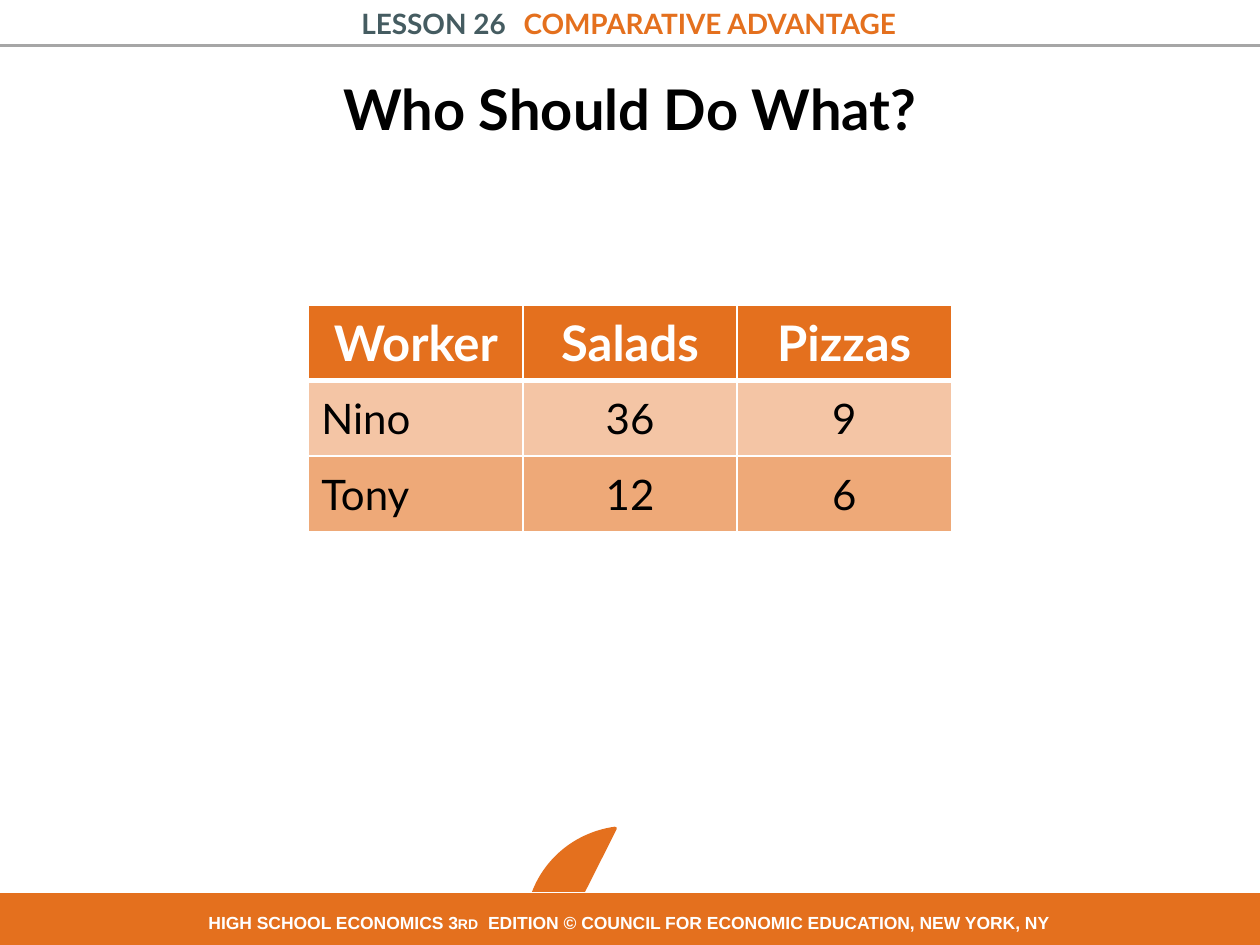
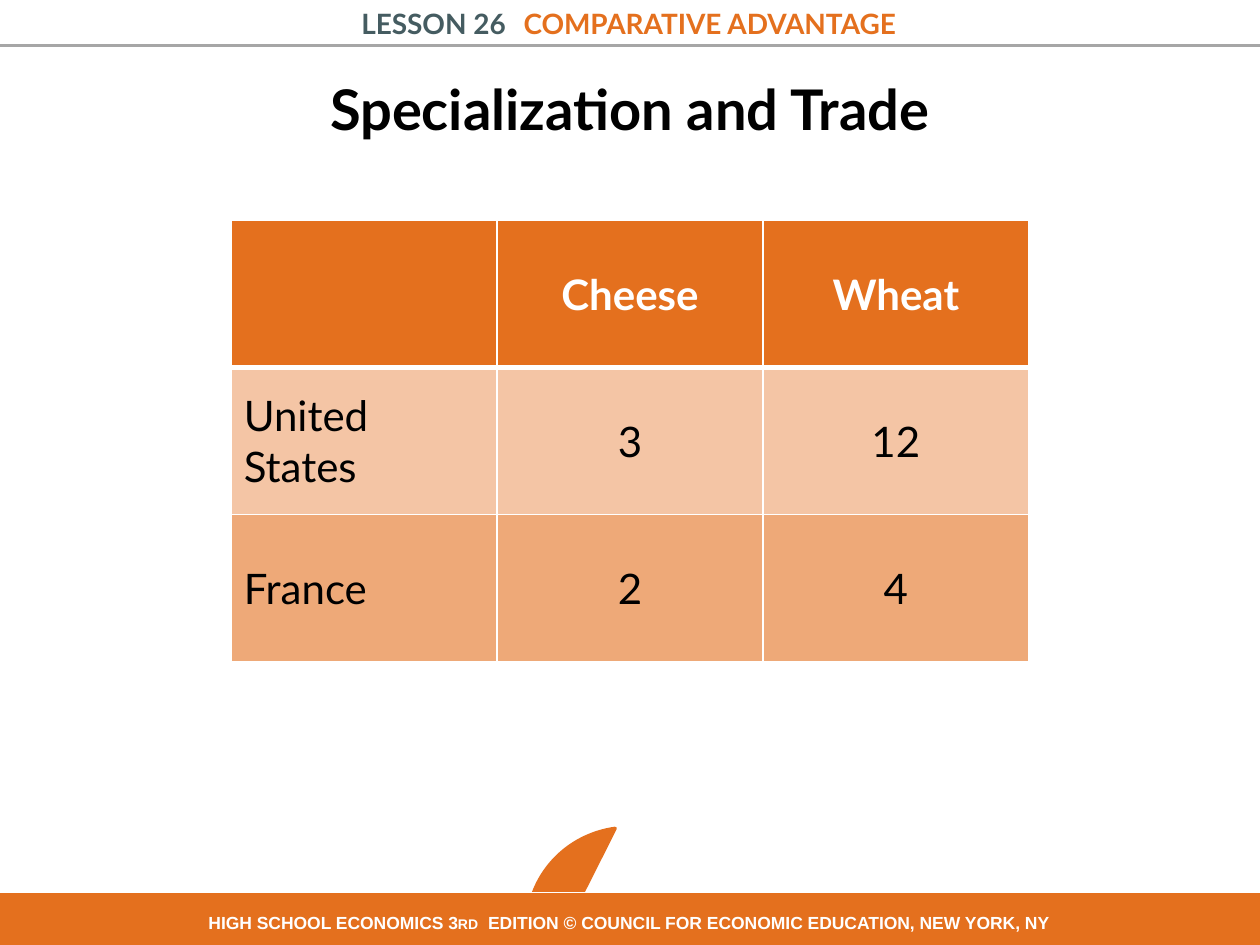
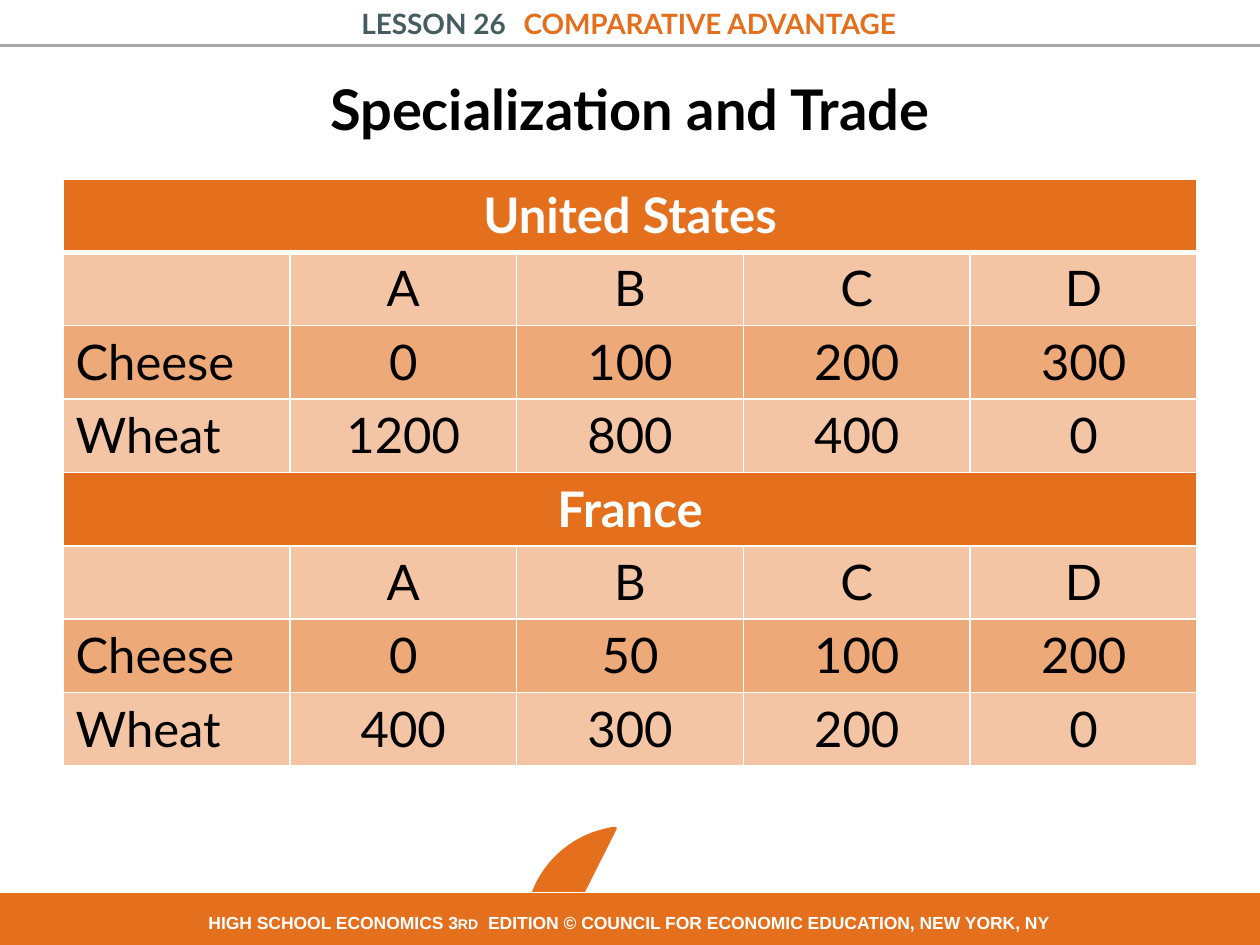
import pptx
import pptx.dml.color
import pptx.enum.shapes
import pptx.enum.text
import pptx.oxml.ns
import pptx.util
from lxml import etree

ORANGE = pptx.dml.color.RGBColor(0xE4, 0x70, 0x1E)
TEAL = pptx.dml.color.RGBColor(0x45, 0x5C, 0x61)
GREY = pptx.dml.color.RGBColor(0xA6, 0xA6, 0xA6)
WHITE = pptx.dml.color.RGBColor(0xFF, 0xFF, 0xFF)
BLACK = pptx.dml.color.RGBColor(0, 0, 0)

COLS, ROWS = 100, 75
CELL = pptx.util.Inches(0.1)
TINTS = (60, 40)
ALIGN = pptx.enum.text.PP_ALIGN
ANCHOR = pptx.enum.text.MSO_ANCHOR
SHAPE = pptx.enum.shapes.MSO_SHAPE
LINE = pptx.enum.shapes.MSO_CONNECTOR
Pt = pptx.util.Pt


def grid(*units):
    return [round(unit * CELL) for unit in units]


def child(parent, tag, **attrs):
    return etree.SubElement(parent, pptx.oxml.ns.qn(tag), attrs)


def say(frame, *parts, font="Lato", size=16, color=BLACK, bold=True, align=ALIGN.CENTER):
    """Write one line; a part is a string or a (string, changes) pair.

    Changes may hold color, caps, or gap (points of extra letter spacing).
    """
    para = frame.paragraphs[0]
    para.alignment = align
    for part in parts:
        text, change = (part, {}) if isinstance(part, str) else part
        run = para.add_run()
        run.text = text
        run.font.name, run.font.size, run.font.bold = font, Pt(size), bold
        run.font.color.rgb = change.get("color", color)
        props = run.font._element
        if "caps" in change:
            props.set("cap", change["caps"])
        if "gap" in change:
            props.set("spc", str(round(change["gap"] * 100)))


def edge(cell, top, base):
    """Rule a cell in white; top and base are widths in points."""
    props = cell._tc.get_or_add_tcPr()
    for spot, (side, width) in enumerate(zip("LRTB", (1, 1, top, base))):
        line = child(props, f"a:ln{side}", w=str(Pt(width)))
        child(child(line, "a:solidFill"), "a:srgbClr", val=str(WHITE))
        props.insert(spot, line)


def paint(cell, alpha=100):
    cell.fill.solid()
    cell.fill.fore_color.rgb = ORANGE
    if alpha < 100:
        tone = cell._tc.tcPr.find("a:solidFill/a:srgbClr", pptx.oxml.ns._nsmap)
        child(tone, "a:alpha", val=str(alpha * 1000))


class Deck:
    def __init__(self):
        self.file = pptx.Presentation()
        self.file.slide_width, self.file.slide_height = grid(COLS, ROWS)
        self.slide = None

    def text(self, box, *parts, anchor=ANCHOR.TOP, **style):
        frame = self.slide.shapes.add_textbox(*grid(*box)).text_frame
        frame.word_wrap = True
        frame.vertical_anchor = anchor
        say(frame, *parts, **style)

    def shape(self, kind, box, line, width):
        shape = self.slide.shapes.add_shape(kind, *grid(*box))
        shape.shadow.inherit = False
        shape.fill.solid()
        shape.fill.fore_color.rgb = ORANGE
        shape.line.color.rgb = line
        shape.line.width = Pt(width)
        return shape

    def rule(self, row):
        line = self.slide.shapes.add_connector(LINE.STRAIGHT, *grid(0, row, COLS, row))
        line.line.color.rgb = GREY
        line.line.width = Pt(2)
        child(line._element.spPr, "a:effectLst")

    def page(self, number, title):
        """Start a slide with its header, page dome, footer and title."""
        self.slide = self.file.slides.add_slide(self.file.slide_layouts[6])
        self.rule(3.6)
        self.text((9.5, 0, 80.8, 3.7), "LESSON 26", (" ", {"gap": 6.2}),
                  ("COMPARATIVE ADVANTAGE", {"color": ORANGE}), color=TEAL)
        dome = self.shape(SHAPE.CHORD, (42, 65.5, 16.2, 16.6), ORANGE, 2)
        dome.rotation = 112.5
        for spot, angle in enumerate((39.96, 148.42)):
            dome.adjustments[spot] = angle * 0.6
        small = dict(font="Arial", size=10, color=WHITE)
        self.text((45, 67.2, 10, 2.7), number, **small)
        self.shape(SHAPE.RECTANGLE, (-0.4, 70.8, 100.6, 4.2), WHITE, 0.25)
        self.text((12.8, 71.9, 74.2, 2.7), "HIGH SCHOOL ECONOMICS 3", ("rd", {"caps": "small"}),
                  (" ", {"gap": 2.8}),
                  "EDITION © COUNCIL FOR ECONOMIC EDUCATION, NEW YORK, NY", **small)
        self.text((5, 3.8, 90, 9.5), title, anchor=ANCHOR.MIDDLE, size=32)

    def table(self, box, data, head=24, body=24, anchor=ANCHOR.MIDDLE):
        """Draw a table; a row with one entry is a heading across all columns."""
        wide = len(data[0]) if len(data[0]) > 1 else len(data[1])
        table = self.slide.shapes.add_table(len(data), wide, *grid(*box)).table
        table.horz_banding = False
        for col in table.columns:
            col.width = round(box[2] * CELL / wide)
        band = 0
        for r, row in enumerate(data):
            table.rows[r].height = round(box[3] * CELL / len(data))
            top = r == 0 or len(row) == 1
            band = 0 if top else band + 1
            if len(row) == 1:
                table.cell(r, 0).merge(table.cell(r, wide - 1))
            for c in range(wide):
                cell = table.cell(r, c)
                cell.vertical_anchor = anchor
                paint(cell, 100 if top else TINTS[band % 2])
                edge(cell, 3 if r == 1 else 1, 3 if r == 0 else 1)
                if c < len(row) and row[c]:
                    say(cell.text_frame, row[c], size=head if top else body,
                        color=WHITE if top else BLACK, bold=top,
                        align=ALIGN.CENTER if top or c else ALIGN.LEFT)


def main():
    deck = Deck()
    deck.page("26-2", "Who Should Do What?")
    deck.table((24.5, 24.2, 51, 18), [
        ["Worker", "Salads", "Pizzas"],
        ["Nino", "36", "9"],
        ["Tony", "12", "6"],
    ], head=28)

    deck.page("26-13", "Specialization and Trade")
    deck.table((18.35, 17.5, 63.3, 35), [
        ["", "Cheese", "Wheat"],
        ["United States", "3", "12"],
        ["France", "2", "4"],
    ])

    deck.page("26-14", "Specialization and Trade")
    plans = ["", "A", "B", "C", "D"]
    deck.table((5, 14.2, 90, 46.6), [
        ["United States"],
        plans,
        ["Cheese", "0", "100", "200", "300"],
        ["Wheat", "1200", "800", "400", "0"],
        ["France"],
        plans,
        ["Cheese", "0", "50", "100", "200"],
        ["Wheat", "400", "300", "200", "0"],
    ], head=28, body=28, anchor=ANCHOR.TOP)
    deck.file.save("out.pptx")


if __name__ == "__main__":
    main()
